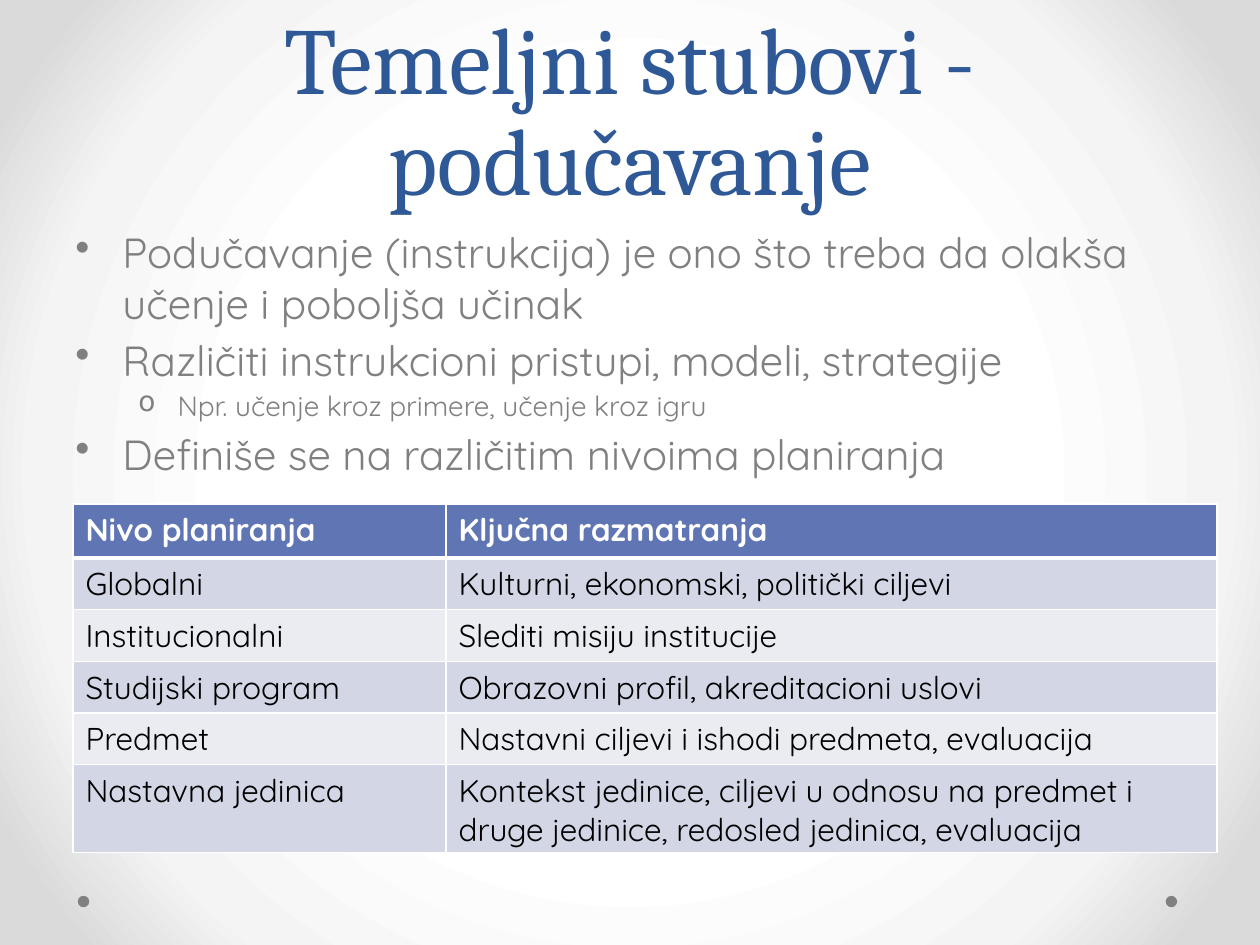
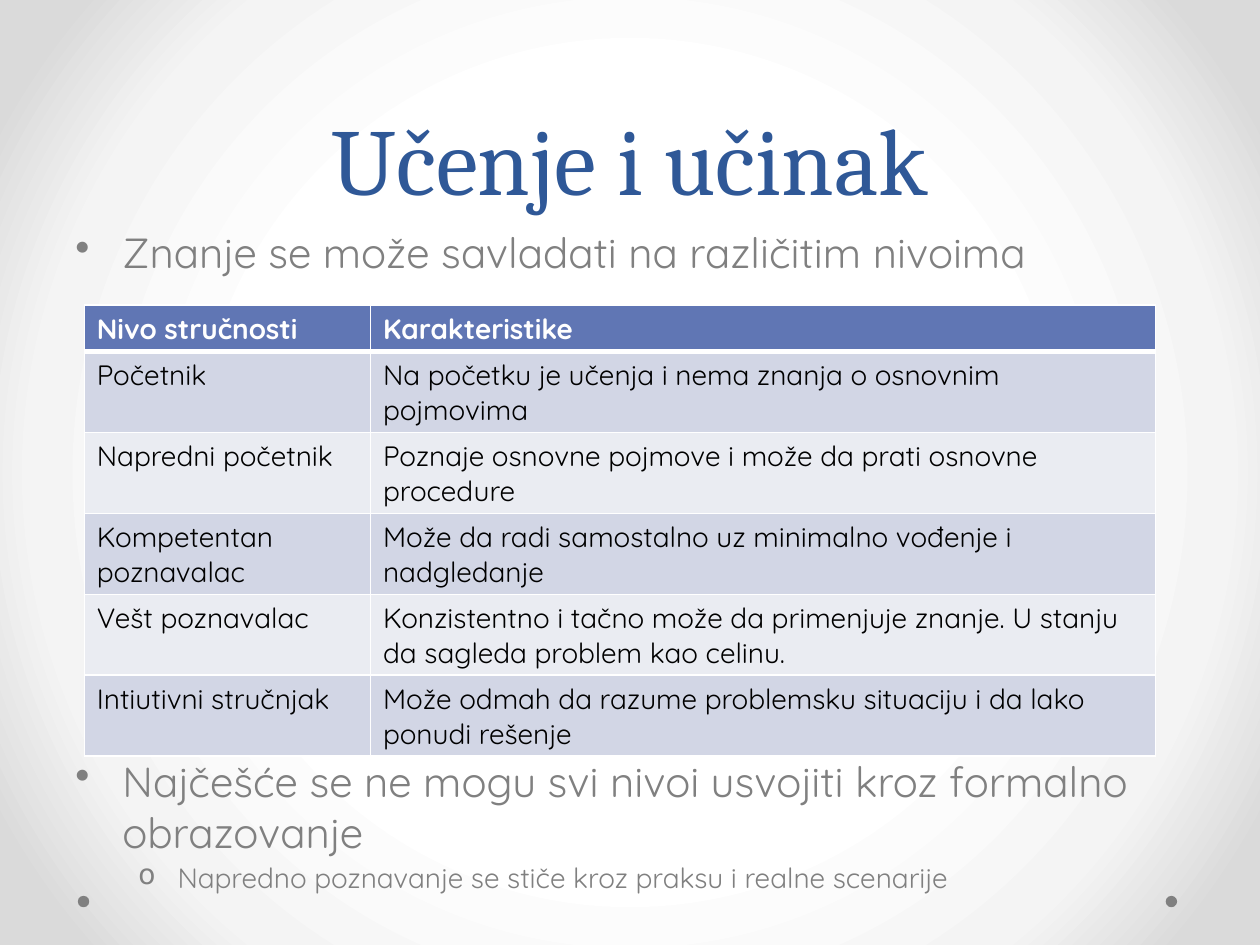
from dataclasses import dataclass

from lxml.etree import SubElement
from pptx import Presentation
from pptx.dml.color import RGBColor
from pptx.enum.shapes import MSO_SHAPE
from pptx.enum.text import MSO_ANCHOR, MSO_AUTO_SIZE, PP_ALIGN
from pptx.oxml import parse_xml
from pptx.oxml.ns import nsdecls, qn
from pptx.util import Cm, Pt


@dataclass(frozen=True)
class Theme:
    title_font: str = "Cambria"
    body_font: str = "Quicksand"
    title_color: str = "2F5897"
    body_color: str = "808080"
    cell_color: str = "000000"
    white: str = "FFFFFF"
    header_fill: str = "6076B4"
    row_fills: tuple = ("D2D6E5", "EAECF2")
    background: tuple = ((50, "FFFFFF"), (76, "F4F4F4"), (92, "DADADA"))
    title_size: int = 54
    title_line: int = 58
    # One entry per bullet level: size, bullet, left indent and hanging indent in cm
    levels: tuple = ((24, "•", 0.95, 0.95), (16, "o", 2.06, 0.79))
    space_ratio: float = 0.15


def write(paragraph, text, *, size, color, font, bold=False, align=PP_ALIGN.LEFT):
    run = paragraph.add_run()
    run.text = text
    run.font.size = Pt(size)
    run.font.name = font
    run.font.bold = bold
    run.font.color.rgb = RGBColor.from_string(color)
    paragraph.alignment = align


def set_bullet(paragraph, character, left, hanging):
    properties = paragraph._p.get_or_add_pPr()
    properties.set("marL", str(Cm(left)))
    properties.set("indent", str(-Cm(hanging)))
    SubElement(properties, qn("a:buChar"), char=character)


def set_borders(cell, color, widths):
    """Draw the left, right, top and bottom borders; widths are in points."""
    properties = cell._tc.get_or_add_tcPr()
    for side, width in zip("LRTB", widths):
        line = SubElement(properties, qn(f"a:ln{side}"), w=str(Pt(width)))
        fill = SubElement(line, qn("a:solidFill"))
        SubElement(fill, qn("a:srgbClr"), val=color)


class Deck:
    def __init__(self, theme):
        self.theme = theme
        self.presentation = Presentation()
        self.presentation.slide_width = Cm(25.4)
        self.presentation.slide_height = Cm(19.05)
        self.slide = None
        self.set_background()

    def set_background(self):
        """Give the master a circular gradient that all slides inherit."""
        master = self.presentation.slide_master
        master.background.fill.gradient()
        gradient = master.element.xpath("p:cSld/p:bg/p:bgPr/a:gradFill")[0]
        stops = "".join(
            f'<a:gs pos="{position * 1000}"><a:srgbClr val="{color}"/></a:gs>'
            for position, color in self.theme.background
        )
        gradient.getparent().replace(gradient, parse_xml(
            f'<a:gradFill {nsdecls("a")} rotWithShape="1"><a:gsLst>{stops}</a:gsLst>'
            '<a:path path="circle">'
            '<a:fillToRect l="50000" t="50000" r="50000" b="50000"/>'
            "</a:path></a:gradFill>"
        ))

    def add_slide(self, title):
        layout = self.presentation.slide_layouts.get_by_name("Title Only")
        self.slide = self.presentation.slides.add_slide(layout)
        for left in (23.5, 1.57):
            self.add_dot(left, 18.06, 0.23)
        self.set_title(title)

    def add_dot(self, left, top, diameter):
        dot = self.slide.shapes.add_shape(
            MSO_SHAPE.OVAL, Cm(left), Cm(top), Cm(diameter), Cm(diameter))
        dot.shadow.inherit = False
        dot.fill.solid()
        dot.fill.fore_color.rgb = RGBColor.from_string(self.theme.body_color)
        dot.line.fill.background()

    def set_title(self, text):
        theme = self.theme
        title = self.slide.shapes.title
        title.left, title.top = Cm(1.27), Cm(0)
        title.width, title.height = Cm(22.86), Cm(4.45)
        frame = title.text_frame
        frame.word_wrap = True
        frame.auto_size = MSO_AUTO_SIZE.NONE
        frame.vertical_anchor = MSO_ANCHOR.BOTTOM
        paragraph = frame.paragraphs[0]
        paragraph.line_spacing = Pt(theme.title_line)
        write(paragraph, text, size=theme.title_size, color=theme.title_color,
              font=theme.title_font, align=PP_ALIGN.CENTER)

    def add_bullets(self, top, height, items):
        """Add a list; each item is a pair of level and text."""
        theme = self.theme
        box = self.slide.shapes.add_textbox(Cm(1.27), Cm(top), Cm(22.86), Cm(height))
        frame = box.text_frame
        frame.word_wrap = True
        for index, (level, text) in enumerate(items):
            paragraph = frame.add_paragraph() if index else frame.paragraphs[0]
            size, character, left, hanging = theme.levels[level]
            paragraph.level = level
            paragraph.space_before = Pt(size * theme.space_ratio if index else 0)
            set_bullet(paragraph, character, left, hanging)
            write(paragraph, text, size=size, color=theme.body_color,
                  font=theme.body_font)

    def add_table(self, left, top, widths, heights, rows, size):
        theme = self.theme
        table = self.slide.shapes.add_table(
            len(rows), len(widths), Cm(left), Cm(top),
            Cm(sum(widths)), Cm(sum(heights))).table
        table.horz_banding = False
        for column, width in zip(table.columns, widths):
            column.width = Cm(width)
        for row_index, (row, height, texts) in enumerate(zip(table.rows, heights, rows)):
            row.height = Cm(height)
            header = row_index == 0
            fill = theme.header_fill if header else theme.row_fills[(row_index - 1) % 2]
            borders = (1, 1, 3 if row_index == 1 else 1, 3 if header else 1)
            for cell, text in zip(row.cells, texts):
                set_borders(cell, theme.white, borders)
                cell.fill.solid()
                cell.fill.fore_color.rgb = RGBColor.from_string(fill)
                write(cell.text_frame.paragraphs[0], text, size=size, bold=header,
                      color=theme.white if header else theme.cell_color,
                      font=theme.body_font)


def add_teaching_slide(deck):
    deck.add_slide("Temeljni stubovi - podučavanje")
    deck.add_bullets(4.45, 12.57, [
        (0, "Podučavanje (instrukcija) je ono što treba da olakša učenje i poboljša učinak"),
        (0, "Različiti instrukcioni pristupi, modeli, strategije"),
        (1, "Npr. učenje kroz primere, učenje kroz igru"),
        (0, "Definiše se na različitim nivoima planiranja"),
    ])
    planning_levels = [
        ("Nivo planiranja", "Ključna razmatranja"),
        ("Globalni", "Kulturni, ekonomski, politički ciljevi"),
        ("Institucionalni", "Slediti misiju institucije"),
        ("Studijski program", "Obrazovni profil, akreditacioni uslovi"),
        ("Predmet", "Nastavni ciljevi i ishodi predmeta, evaluacija"),
        ("Nastavna jedinica", "Kontekst jedinice, ciljevi u odnosu na predmet i "
                              "druge jedinice, redosled jedinica, evaluacija"),
    ]
    deck.add_table(1.47, 10.16, (7.52, 15.54), [1.09] + [1.04] * 4 + [1.78],
                   planning_levels, size=18)


def add_learning_slide(deck):
    deck.add_slide("Učenje i učinak")
    deck.add_bullets(4.45, 1.6, [(0, "Znanje se može savladati na različitim nivoima")])
    deck.add_bullets(15.11, 3.5, [
        (0, "Najčešće se ne mogu svi nivoi usvojiti kroz formalno obrazovanje"),
        (1, "Napredno poznavanje se stiče kroz praksu i realne scenarije"),
    ])
    expertise_levels = [
        ("Nivo stručnosti", "Karakteristike"),
        ("Početnik", "Na početku je učenja i nema znanja o osnovnim pojmovima"),
        ("Napredni početnik", "Poznaje osnovne pojmove i može da prati osnovne procedure"),
        ("Kompetentan poznavalac",
         "Može da radi samostalno uz minimalno vođenje i nadgledanje"),
        ("Vešt poznavalac", "Konzistentno i tačno može da primenjuje znanje. "
                            "U stanju da sagleda problem kao celinu."),
        ("Intiutivni stručnjak",
         "Može odmah da razume problemsku situaciju i da lako ponudi rešenje"),
    ]
    deck.add_table(1.7, 6.15, (5.77, 15.82), [0.94] + [1.63] * 5,
                   expertise_levels, size=16)


def main():
    deck = Deck(Theme())
    add_teaching_slide(deck)
    add_learning_slide(deck)
    deck.presentation.save("out.pptx")


if __name__ == "__main__":
    main()
